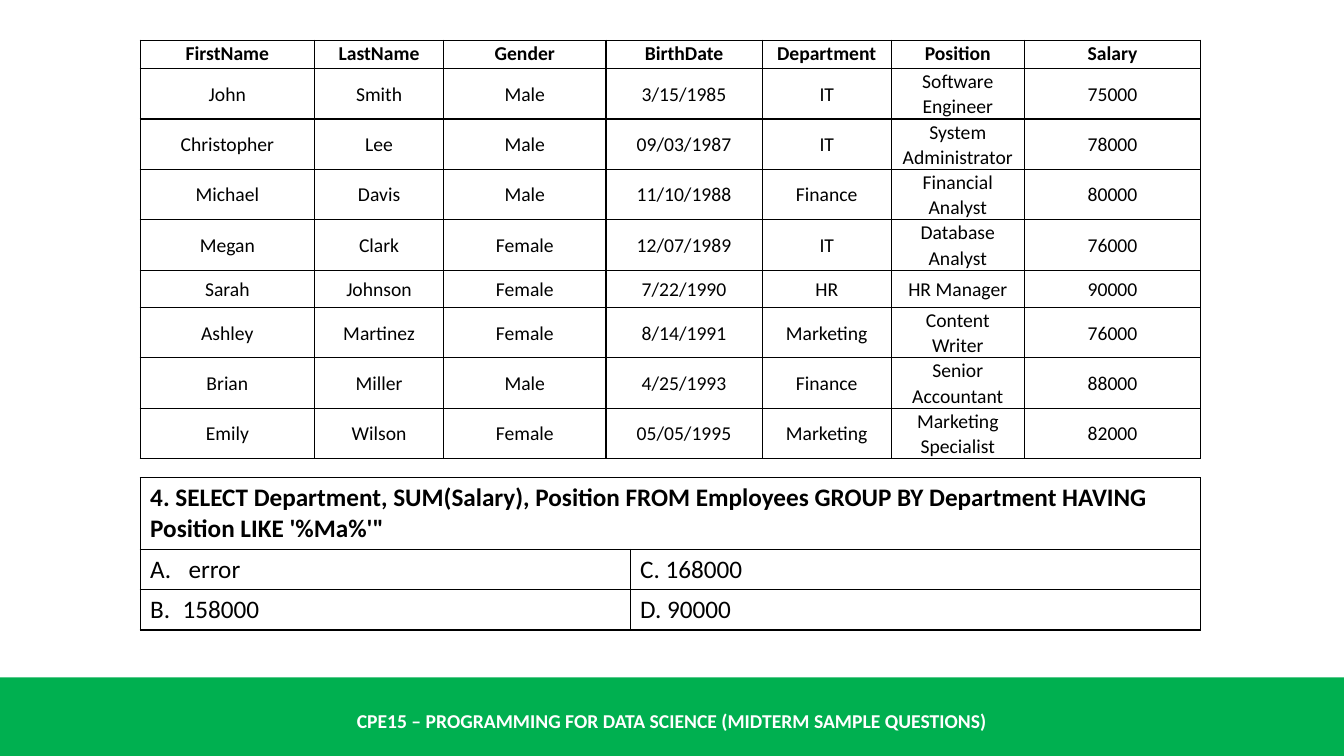
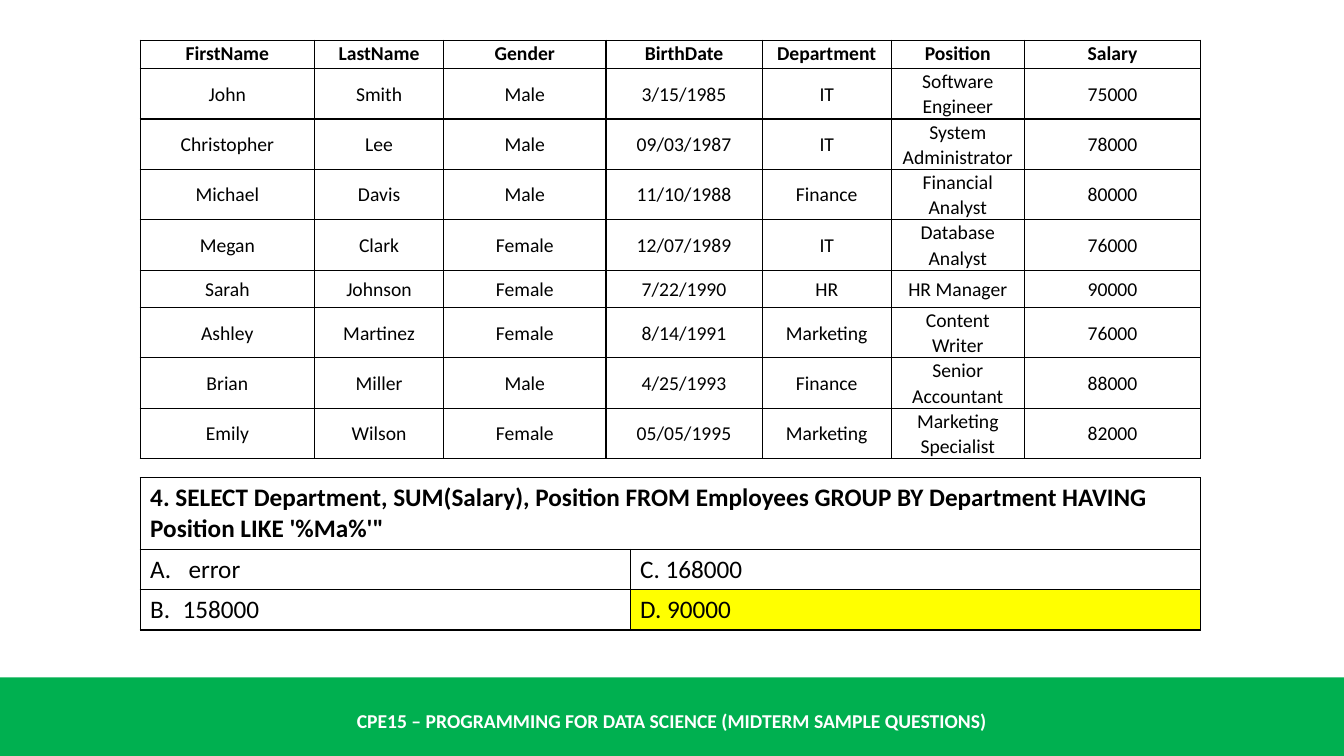
from dataclasses import dataclass

from lxml import etree
from pptx import Presentation
from pptx.dml.color import RGBColor
from pptx.enum import shapes, text
from pptx.oxml import ns
from pptx.util import Inches, Pt


@dataclass(frozen=True)
class Theme:
    green: RGBColor = RGBColor.from_string("00B050")
    white: RGBColor = RGBColor.from_string("FFFFFF")
    black: RGBColor = RGBColor.from_string("000000")
    highlight: RGBColor = RGBColor.from_string("FFFF00")
    font: str = "Calibri"
    small: Pt = Pt(14)
    large: Pt = Pt(18)
    border: Pt = Pt(1)


theme = Theme()


def format_font(paragraph, size, color, bold):
    font = paragraph.font
    font.name, font.size, font.bold = theme.font, size, bold
    font.color.rgb = color


def add_grid(slide, top, widths, heights, rows, size):
    frame = slide.shapes.add_table(
        len(rows), len(widths), Inches(1.39), Inches(top),
        Inches(sum(widths)), Inches(sum(heights)))
    table = frame.table
    table.first_row = table.horz_banding = False
    for column, width in zip(table.columns, widths):
        column.width = Inches(width)
    for row_index, (row, height, values) in enumerate(zip(table.rows, heights, rows)):
        row.height = Inches(height)
        for cell, value in zip(row.cells, values):
            cell.text = value
            cell.vertical_anchor = text.MSO_ANCHOR.MIDDLE
            properties = cell._tc.get_or_add_tcPr()
            for side in ("lnL", "lnR", "lnT", "lnB"):
                line = etree.SubElement(properties, ns.qn(f"a:{side}"), w=str(theme.border))
                fill = etree.SubElement(line, ns.qn("a:solidFill"))
                etree.SubElement(fill, ns.qn("a:srgbClr"), val=str(theme.black))
            cell.fill.background()
            paragraph = cell.text_frame.paragraphs[0]
            paragraph_properties = paragraph._p.get_or_add_pPr()
            if value == "error":
                paragraph_properties.set("marL", str(Inches(0.38)))
                paragraph_properties.set("indent", str(-Inches(0.38)))
                etree.SubElement(paragraph_properties, ns.qn("a:buAutoNum"), type="alphaUcPeriod")
            if "\t" in value:
                tabs = etree.SubElement(paragraph_properties, ns.qn("a:tabLst"))
                etree.SubElement(tabs, ns.qn("a:tab"), pos=str(Inches(0.32)), algn="l")
            format_font(paragraph, size, theme.black, row_index == 0)
    return table


employees = [
    ("FirstName", "LastName", "Gender", "BirthDate", "Department", "Position", "Salary"),
    ("John", "Smith", "Male", "3/15/1985", "IT", "Software Engineer", "75000"),
    ("Christopher", "Lee", "Male", "09/03/1987", "IT", "System Administrator", "78000"),
    ("Michael", "Davis", "Male", "11/10/1988", "Finance", "Financial Analyst", "80000"),
    ("Megan", "Clark", "Female", "12/07/1989", "IT", "Database Analyst", "76000"),
    ("Sarah", "Johnson", "Female", "7/22/1990", "HR", "HR Manager", "90000"),
    ("Ashley", "Martinez", "Female", "8/14/1991", "Marketing", "Content Writer", "76000"),
    ("Brian", "Miller", "Male", "4/25/1993", "Finance", "Senior Accountant", "88000"),
    ("Emily", "Wilson", "Female", "05/05/1995", "Marketing", "Marketing Specialist", "82000"),
]
employee_widths = [1.73, 1.28, 1.61, 1.55, 1.28, 1.32, 1.75]
employee_heights = [0.28] + [0.5] * 4 + [0.37] + [0.5] * 3
question = [
    ("4. SELECT Department, SUM(Salary), Position FROM Employees "
     "GROUP BY Department HAVING Position LIKE '%Ma%'\"", ""),
    ("error", "C. 168000"),
    ("B.\t158000", "D. 90000"),
]

presentation = Presentation()
presentation.slide_width = Inches(13.33)
presentation.slide_height = Inches(7.5)
layout = presentation.slide_layouts[6]
for placeholder in list(layout.placeholders):
    layout.shapes.element.remove(placeholder.element)
slides = [presentation.slides.add_slide(layout) for _ in range(2)]

band = slides[0].shapes.add_shape(
    shapes.MSO_SHAPE.RECTANGLE, 0, Inches(6.72), presentation.slide_width, Inches(0.78))
band.shadow.inherit = False
band.fill.solid()
band.fill.fore_color.rgb = theme.green
band.line.fill.background()
footer = slides[0].shapes.add_textbox(0, Inches(6.95), presentation.slide_width, Inches(0.4))
footer.text_frame.word_wrap = True
footer.text_frame.vertical_anchor = text.MSO_ANCHOR.MIDDLE
footer.text_frame.text = "CPE15 – PROGRAMMING FOR DATA SCIENCE (MIDTERM SAMPLE QUESTIONS)"
footer_paragraph = footer.text_frame.paragraphs[0]
footer_paragraph.alignment = text.PP_ALIGN.CENTER
format_font(footer_paragraph, theme.small, theme.white, True)
for shape in (band, footer):
    layout.shapes.element.append(shape.element)

for slide, show_answer in zip(slides, (False, True)):
    employee_table = add_grid(slide, 0.4, employee_widths, employee_heights, employees, theme.small)
    for cell in employee_table.iter_cells():
        cell.margin_left = cell.margin_right = Inches(0.07)
        cell.margin_top = cell.margin_bottom = 0
        paragraph = cell.text_frame.paragraphs[0]
        paragraph.alignment = text.PP_ALIGN.CENTER
        paragraph.line_spacing = 1.06
    for cell in employee_table.rows[0].cells:
        cell.vertical_anchor = text.MSO_ANCHOR.TOP

    question_table = add_grid(slide, 4.74, [4.86, 5.66], [0.71, 0.4, 0.4], question, theme.large)
    question_table.cell(0, 0).merge(question_table.cell(0, 1))
    if show_answer:
        answer = question_table.cell(2, 1)
        answer.fill.solid()
        answer.fill.fore_color.rgb = theme.highlight

presentation.save("out.pptx")
